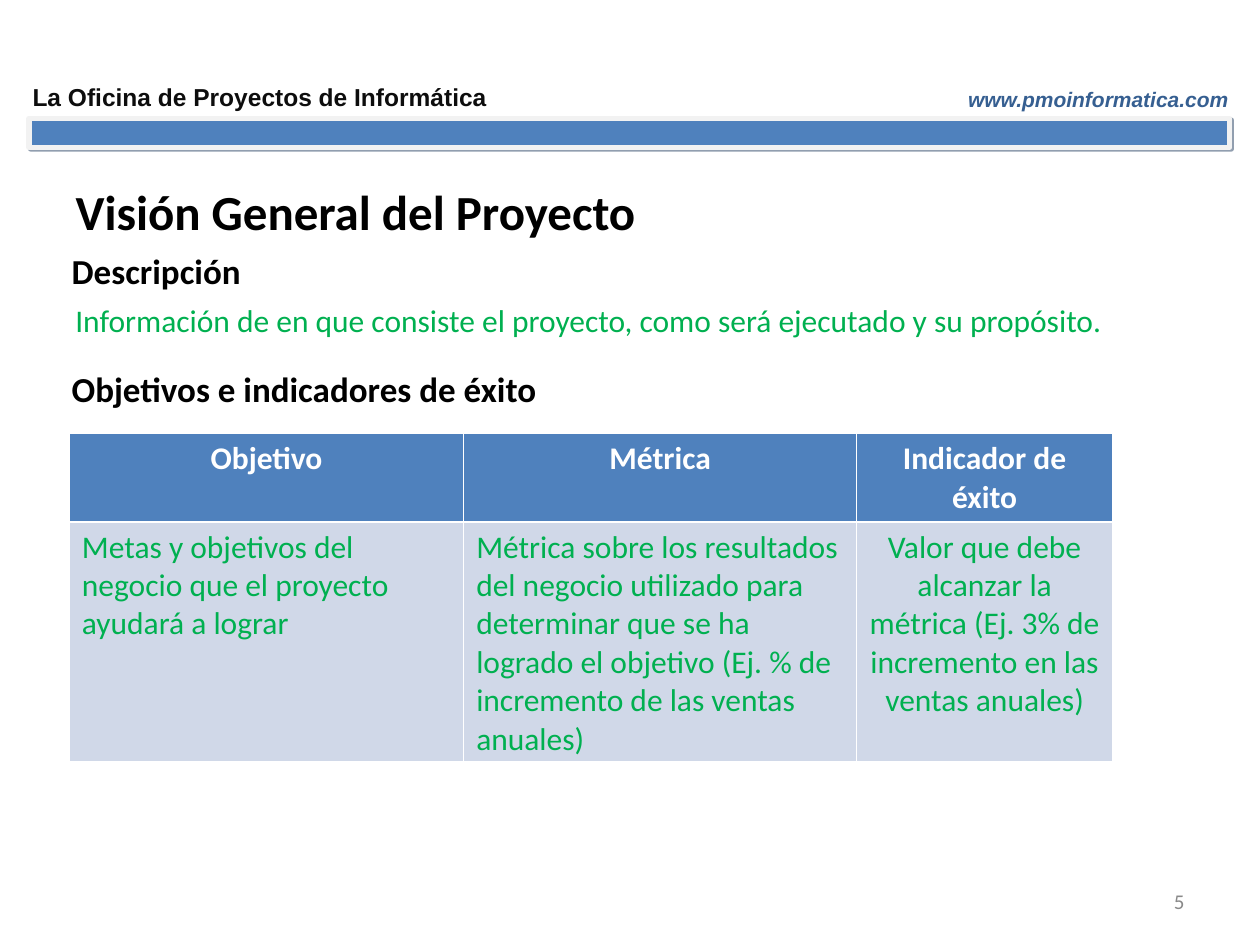
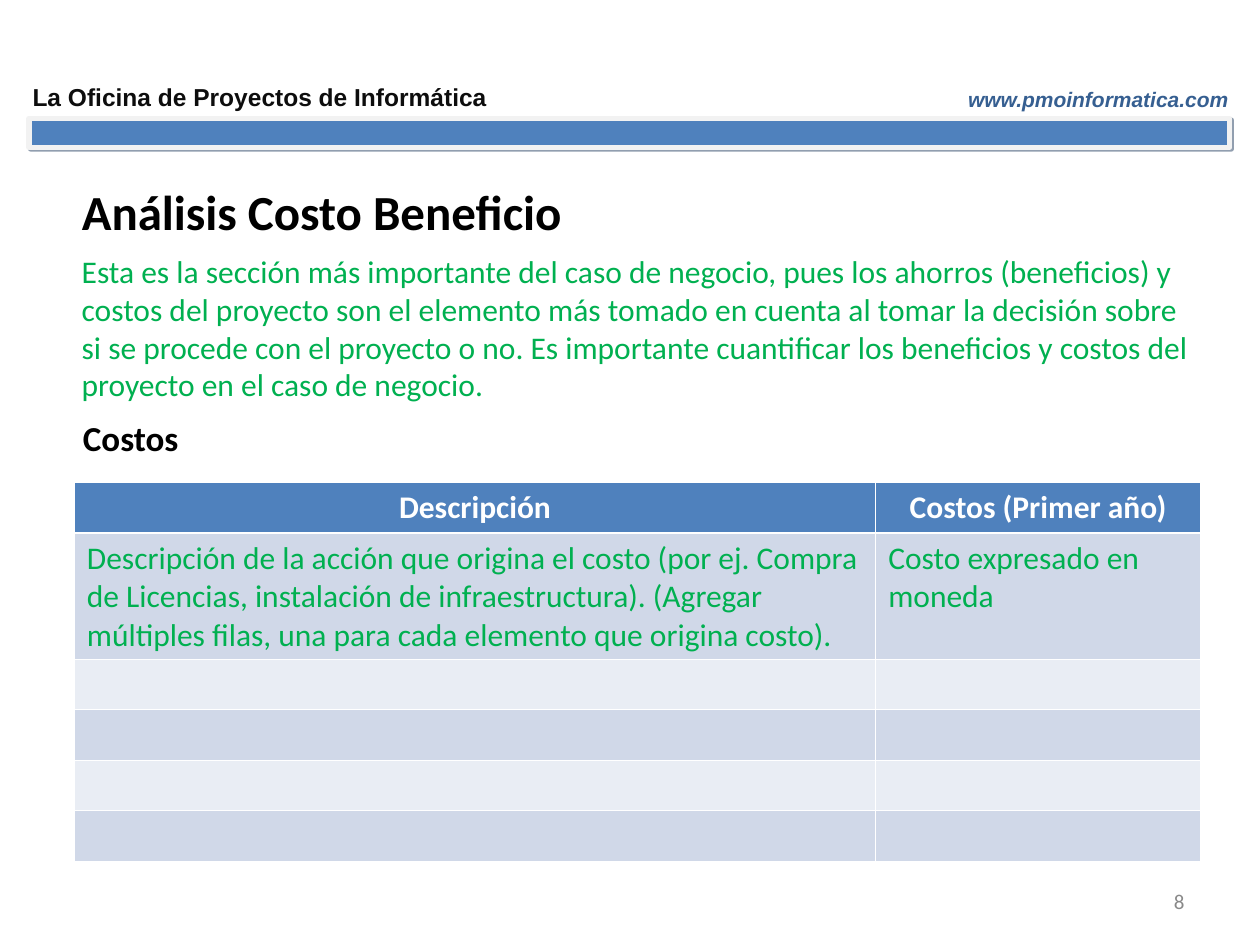
from lxml import etree
from pptx import Presentation
from pptx.dml.color import RGBColor
from pptx.enum import shapes, text
from pptx.oxml import ns, parse_xml
from pptx.util import Inches, Pt

COLORS = {
    "blue": "4F81BD", "frame": "F2F2F2", "shadow": "243F60", "header": "0D0D0D",
    "link": "365F91", "black": "000000", "green": "00B050", "white": "FFFFFF",
    "band_dark": "D0D8E8", "band_light": "E9EDF4", "number": "898989",
}
LEFT, CENTER, RIGHT = text.PP_ALIGN.LEFT, text.PP_ALIGN.CENTER, text.PP_ALIGN.RIGHT
MIDDLE, TOP = text.MSO_ANCHOR.MIDDLE, text.MSO_ANCHOR.TOP
THIN, THICK = Pt(0.45), Pt(1.47)

SLIDES = [
    {
        "number": "5",
        "title": ("Visión General del Proyecto", 0.5, 8.5),
        "headings": [("Descripción", 0.47, 1.95),
                     ("Objetivos e indicadores de éxito", 0.47, 2.89)],
        "guidance": ("Información de en que consiste el proyecto, como será ejecutado "
                     "y su propósito.", (0.5, 2.34, 9.03, 0.55)),
        "table_at": (0.55, 3.44),
        "columns": [3.13, 3.12, 2.03],
        "row_heights": [0.7, 1.9],
        "body_align": [LEFT, LEFT, CENTER],
        "rows": [
            ["Objetivo", "Métrica", "Indicador de éxito"],
            ["Metas y objetivos del negocio que el proyecto ayudará a lograr",
             "Métrica sobre los resultados del negocio utilizado para determinar que se ha "
             "logrado el objetivo (Ej. % de incremento de las ventas anuales)",
             "Valor que debe alcanzar la métrica (Ej. 3% de incremento en las ventas anuales)"],
        ],
    },
    {
        "number": "8",
        "title": ("Análisis Costo Beneficio", 0.55, 9.03),
        "headings": [("Costos", 0.56, 3.28)],
        "guidance": ("Esta es la sección más importante del caso de negocio, pues los ahorros "
                     "(beneficios) y costos del proyecto son el elemento más tomado en cuenta "
                     "al tomar la decisión sobre si se procede con el proyecto o no. Es "
                     "importante cuantificar los beneficios y costos del proyecto en el caso "
                     "de negocio.", (0.55, 1.95, 9.03, 1.41)),
        "table_at": (0.59, 3.83),
        "columns": [6.36, 2.58],
        "row_heights": [0.4, 1] + [0.4] * 4,
        "body_align": [LEFT, LEFT],
        "rows": [
            ["Descripción", "Costos (Primer año)"],
            ["Descripción de la acción que origina el costo (por ej. Compra de Licencias, "
             "instalación de infraestructura). (Agregar múltiples filas, una para cada "
             "elemento que origina costo).",
             "Costo expresado en moneda"],
        ] + [["", ""]] * 4,
    },
]


def write(holder, words, size=18, color="black", font="Calibri", bold=False,
          italic=False, align=LEFT, anchor=TOP, box=None):
    """Fill a shape or cell with formatted text; with box, holder is a slide that gets a text box."""
    if box:
        holder = holder.shapes.add_textbox(*map(Inches, box))
    frame = holder.text_frame
    frame.word_wrap = True
    frame.vertical_anchor = anchor
    paragraph = frame.paragraphs[0]
    paragraph.alignment = align
    if words:
        run = paragraph.add_run()
        run.text = words
        style = run.font
    else:
        style = paragraph.font
    style.name, style.size, style.bold, style.italic = font, Pt(size), bold, italic
    style.color.rgb = RGBColor.from_string(COLORS[color])


def border(cell, top, bottom):
    """Draw white edges: thin at the sides, with the given widths above and below."""
    edges = cell._tc.get_or_add_tcPr()
    for side, width in (("L", THIN), ("R", THIN), ("T", top), ("B", bottom)):
        line = etree.SubElement(edges, ns.qn(f"a:ln{side}"), w=str(int(width)))
        fill = etree.SubElement(line, ns.qn("a:solidFill"))
        etree.SubElement(fill, ns.qn("a:srgbClr"), val=COLORS["white"])


prs = Presentation()
prs.slide_width, prs.slide_height = Inches(10), Inches(7.5)

for content in SLIDES:
    slide = prs.slides.add_slide(prs.slide_layouts[5])

    # Shared header and slide number
    band = slide.shapes.add_shape(shapes.MSO_SHAPE.RECTANGLE, Inches(0.23), Inches(0.94),
                                  Inches(9.53), Inches(0.23))
    band.fill.solid()
    band.fill.fore_color.rgb = RGBColor.from_string(COLORS["blue"])
    band.line.color.rgb = RGBColor.from_string(COLORS["frame"])
    band.line.width = Pt(3)
    band._element.spPr.append(parse_xml(
        f'<a:effectLst {ns.nsdecls("a")}><a:outerShdw dist="{Pt(1.4)}" dir="2700000">'
        f'<a:srgbClr val="{COLORS["shadow"]}"><a:alpha val="50000"/></a:srgbClr>'
        '</a:outerShdw></a:effectLst>'))
    write(slide, "La Oficina de Proyectos de Informática", size=14, color="header",
          font="Arial", bold=True, anchor=MIDDLE, box=(0.16, 0.6, 3.91, 0.34))
    write(slide, "www.pmoinformatica.com", size=12, color="link", font="Arial", bold=True,
          italic=True, align=RIGHT, anchor=MIDDLE, box=(7.19, 0.64, 2.66, 0.3))
    write(slide, content["number"], size=12, color="number", align=RIGHT, anchor=MIDDLE,
          box=(7.17, 6.95, 2.33, 0.4))

    # Title, headings and guidance
    words, left, width = content["title"]
    title = slide.shapes.title
    title.left, title.top = Inches(left), Inches(1.48)
    title.width, title.height = Inches(width), Inches(0.39)
    title.text_frame.auto_size = text.MSO_AUTO_SIZE.NONE
    write(title, words, size=28, bold=True, anchor=MIDDLE)
    for words, left, top in content["headings"]:
        write(slide, words, size=20, bold=True, anchor=MIDDLE, box=(left, top, 8.5, 0.39))
    words, place = content["guidance"]
    write(slide, words, color="green", box=place)

    # Table
    rows, columns, heights = content["rows"], content["columns"], content["row_heights"]
    left, top = content["table_at"]
    table = slide.shapes.add_table(len(rows), len(columns), Inches(left), Inches(top),
                                   Inches(sum(columns)), Inches(sum(heights))).table
    for column, width in zip(table.columns, columns):
        column.width = Inches(width)
    for r, row in enumerate(rows):
        table.rows[r].height = Inches(heights[r])
        is_header = r == 0
        band_color = "blue" if is_header else "band_dark" if r % 2 else "band_light"
        for c, words in enumerate(row):
            cell = table.cell(r, c)
            border(cell, THICK if r == 1 else THIN, THICK if is_header else THIN)
            cell.fill.solid()
            cell.fill.fore_color.rgb = RGBColor.from_string(COLORS[band_color])
            write(cell, words, color="white" if is_header else "green", bold=is_header,
                  align=CENTER if is_header else content["body_align"][c])

prs.save("out.pptx")
